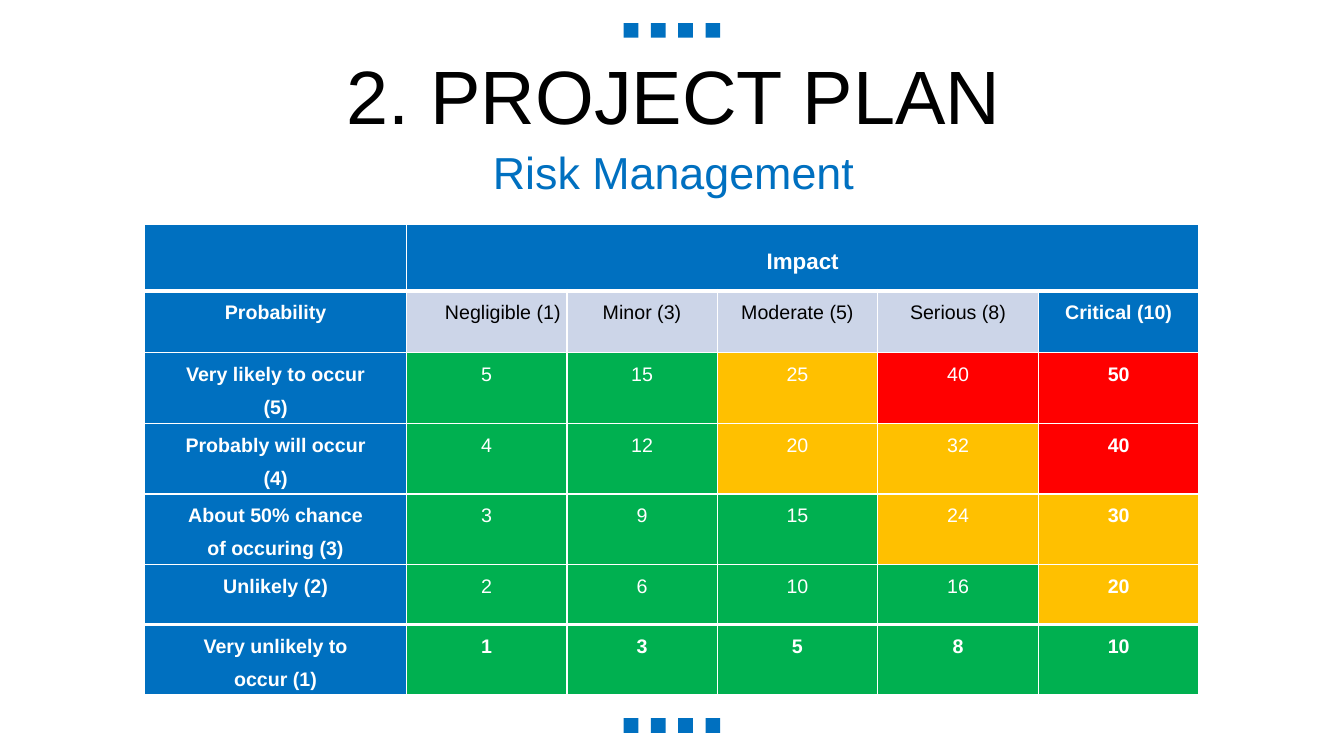
import pptx
import pptx.dml.color
import pptx.enum.shapes
import pptx.enum.text
import pptx.oxml
import pptx.oxml.ns
import pptx.util

RGBColor = pptx.dml.color.RGBColor
PP_ALIGN = pptx.enum.text.PP_ALIGN
MSO_ANCHOR = pptx.enum.text.MSO_ANCHOR
MSO_AUTO_SIZE = pptx.enum.text.MSO_AUTO_SIZE

BLUE = RGBColor(0x00, 0x70, 0xC0)
PALE = RGBColor(0xCC, 0xD5, 0xE8)
GREEN = RGBColor(0x00, 0xB0, 0x50)
AMBER = RGBColor(0xFF, 0xC0, 0x00)
RED = RGBColor(0xFF, 0x00, 0x00)
BLACK = RGBColor(0x00, 0x00, 0x00)
WHITE = RGBColor(0xFF, 0xFF, 0xFF)

FONT = "Arial"
COLUMNS = [249, 153, 143, 153, 153, 153]
ROWS = [63, 59, 59, 59, 59, 57, 59]
IMPACTS = [("Negligible", 1), ("Minor", 3), ("Moderate", 5), ("Serious", 8), ("Critical", 10)]
PROBABILITIES = [
    (5, ["Very likely to occur", "(5)"]),
    (4, ["Probably will occur", "(4)"]),
    (3, ["About 50% chance", "of occuring (3)"]),
    (2, ["Unlikely (2)"]),
    (1, ["Very unlikely to", "occur (1)"]),
]


def px(n):
    return pptx.util.Emu(n * 9525)


def write(tf, lines, size, color, bold=False, spacing=1.0, align=PP_ALIGN.CENTER):
    for i, line in enumerate(lines):
        p = tf.add_paragraph() if i else tf.paragraphs[0]
        p.text = line
        p.alignment = align
        p.line_spacing = spacing
        p.space_before = pptx.util.Pt(0)
        p.font.name = FONT
        p.font.size = pptx.util.Pt(size)
        p.font.bold = bold
        p.font.color.rgb = color


def add_title(s, text):
    sp = s.shapes.title
    sp.left, sp.top, sp.width, sp.height = px(34), px(57), px(1215), px(76)
    tf = sp.text_frame
    tf.auto_size = MSO_AUTO_SIZE.NONE
    tf.vertical_anchor = MSO_ANCHOR.MIDDLE
    write(tf, [text], 54, BLACK, spacing=0.9)


def add_subtitle(s, text):
    tf = s.shapes.add_textbox(px(419), px(133), px(445), px(61)).text_frame
    tf.word_wrap = True
    tf.auto_size = MSO_AUTO_SIZE.SHAPE_TO_FIT_TEXT
    tf.vertical_anchor = MSO_ANCHOR.MIDDLE
    write(tf, [text], 32, BLUE)


def add_squares(s, top):
    for i in range(4):
        sp = s.shapes.add_shape(pptx.enum.shapes.MSO_SHAPE.RECTANGLE,
                                px(594 + 26 * i), px(top), px(14), px(14))
        sp.shadow.inherit = False
        sp.fill.solid()
        sp.fill.fore_color.rgb = BLUE
        sp.line.fill.background()


def add_borders(cell, top, bottom):
    tc_pr = cell._tc.get_or_add_tcPr()
    for side, points in (("L", 1), ("R", 1), ("T", top), ("B", bottom)):
        tc_pr.append(pptx.oxml.parse_xml(
            f'<a:ln{side} {pptx.oxml.ns.nsdecls("a")} w="{pptx.util.Pt(points)}">'
            f'<a:solidFill><a:srgbClr val="{WHITE}"/></a:solidFill></a:ln{side}>'))


def style_cells(table):
    for r in range(len(ROWS)):
        for c in range(len(COLUMNS)):
            cell = table.cell(r, c)
            cell.margin_left = cell.margin_right = 0
            cell.margin_top = cell.margin_bottom = 0
            add_borders(cell, 3 if r in (1, 6) else 1, 3 if r in (0, 5) else 1)
            cell.fill.solid()
            cell.fill.fore_color.rgb = BLUE


def risk_color(score):
    if score >= 40:
        return RED
    return AMBER if score >= 20 else GREEN


def fill_cell(cell, lines, fill, color=WHITE, bold=True, align=PP_ALIGN.CENTER):
    cell.fill.fore_color.rgb = fill
    write(cell.text_frame, lines, 14, color, bold, 1.5, align)


def add_risk_table(s):
    frame = s.shapes.add_table(len(ROWS), len(COLUMNS), px(138), px(214),
                               px(sum(COLUMNS)), px(sum(ROWS)))
    table = frame.table
    table.first_row = table.horz_banding = False
    for column, width in zip(table.columns, COLUMNS):
        column.width = px(width)
    for row, height in zip(table.rows, ROWS):
        row.height = px(height)
    style_cells(table)

    table.cell(0, 1).merge(table.cell(0, 5))
    write(table.cell(0, 1).text_frame, ["Impact"], 16, WHITE, True, 2.0)

    fill_cell(table.cell(1, 0), ["Probability"], BLUE)
    for c, (name, impact) in enumerate(IMPACTS, 1):
        critical = impact == 10
        fill_cell(table.cell(1, c), [f"{name} ({impact})"], BLUE if critical else PALE,
                  WHITE if critical else BLACK, critical,
                  PP_ALIGN.RIGHT if c == 1 else PP_ALIGN.CENTER)
    table.cell(1, 1).margin_right = px(6)

    for r, (probability, lines) in enumerate(PROBABILITIES, 2):
        fill_cell(table.cell(r, 0), lines, BLUE)
        for c, (name, impact) in enumerate(IMPACTS, 1):
            score = probability * impact
            fill_cell(table.cell(r, c), [str(score)], risk_color(score),
                      bold=impact == 10 or probability == 1)


def main():
    prs = pptx.Presentation()
    prs.slide_width, prs.slide_height = px(1280), px(720)
    s = prs.slides.add_slide(prs.slide_layouts[5])
    add_squares(s, 22)
    add_squares(s, 684)
    add_title(s, "2. PROJECT PLAN")
    add_subtitle(s, "Risk Management")
    add_risk_table(s)
    prs.save("out.pptx")


if __name__ == "__main__":
    main()
